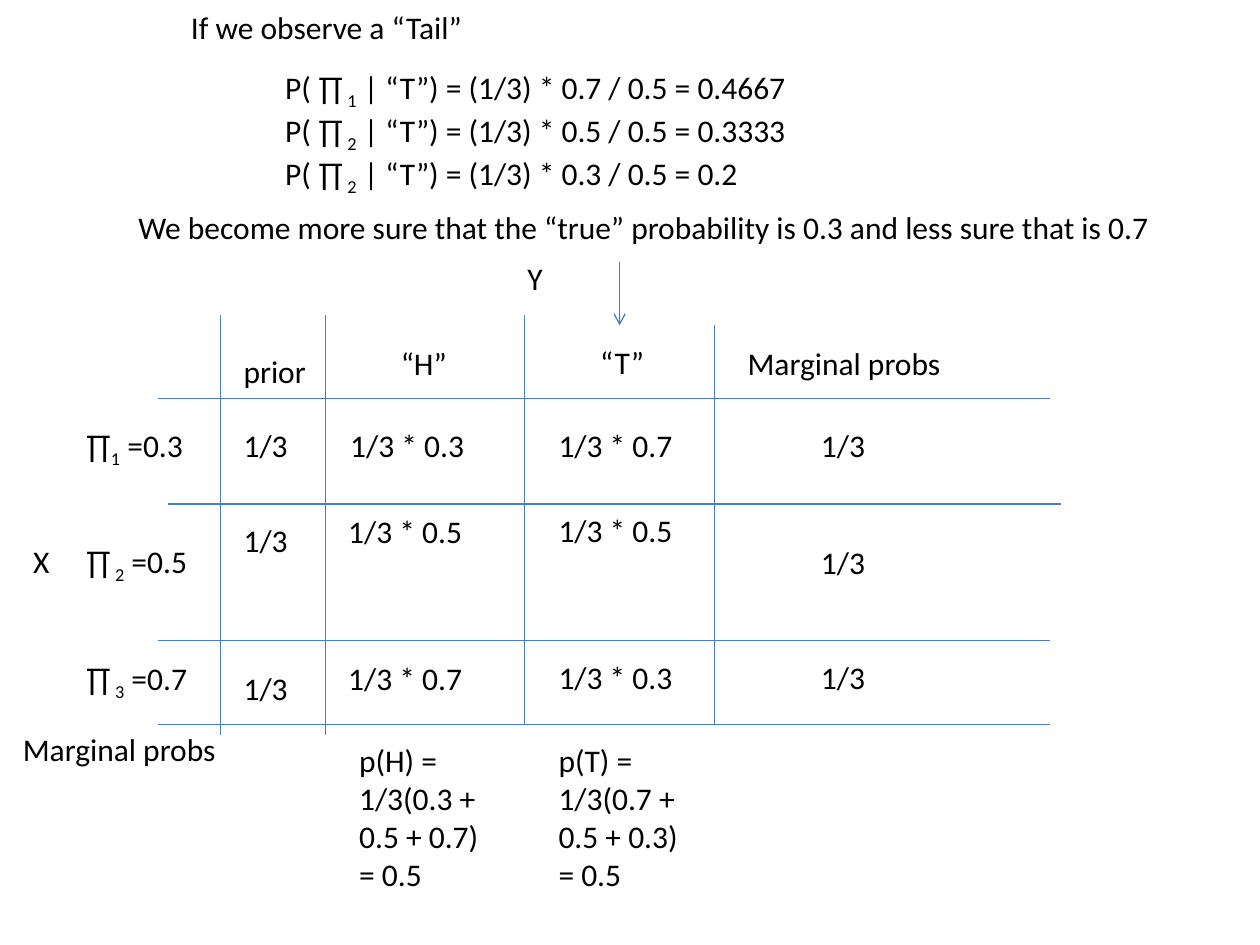
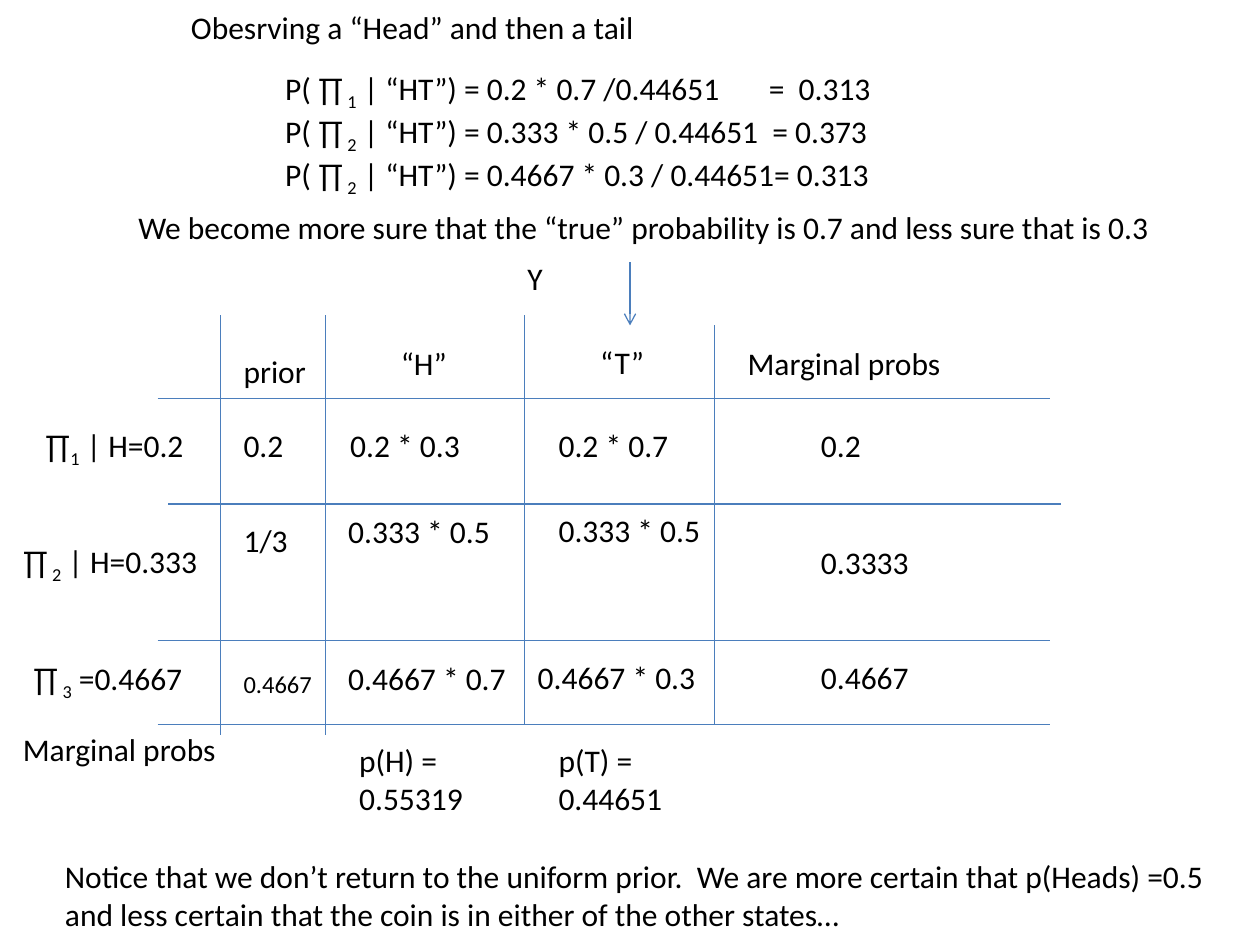
from lxml import etree
from pptx import Presentation
from pptx import util as u
from pptx.dml.color import RGBColor
from pptx.enum import shapes, text
from pptx.oxml.ns import qn

BLACK = RGBColor(0x00, 0x00, 0x00)
BLUE = RGBColor(0x4B, 0x7E, 0xBC)
FONT = "Calibri"
SIZE = 18

# Shared grid in cm: (start x, start y, end x, end y)
ROW_RULES = [(3.18, 8.04, 21.17, 8.04), (3.39, 10.16, 21.38, 10.16),
             (3.18, 12.91, 21.17, 12.91), (3.18, 14.6, 21.17, 14.6)]
COLUMN_RULES = [(4.45, 6.35, 4.45, 14.82), (6.56, 6.35, 6.56, 14.82),
                (10.58, 6.35, 10.58, 14.6), (14.4, 6.56, 14.4, 14.6)]

# Tops of the three cells in each column, in cm
LABEL_TOPS = (8.47, 10.8, 13.16)
PRIOR_TOPS = (8.47, 10.37, 13.36)
HEAD_TOPS = (8.47, 10.19, 13.16)
TAIL_TOPS = (8.47, 10.17, 13.14)
MARGINAL_TOPS = (8.47, 10.82, 13.14)

# Headings that both pages share: wording, left, top, width
HEADINGS = [("prior", 4.66, 6.98, 1.78), ("“H”", 7.83, 6.81, 1.45),
            ("“T”", 11.85, 6.79, 1.45), ("Y", 10.38, 5.1, 0.81),
            ("Marginal probs", 14.82, 6.81, 4.45),
            ("Marginal probs", 0.21, 14.6, 4.45)]
HEAD_CHANCES = ("0.3", "0.5", "0.7")
TAIL_CHANCES = ("0.7", "0.5", "0.3")

# Widths of the non-digit characters in cells, in ems
DIGIT_EM = 0.507
OTHER_EMS = {".": 0.252, "/": 0.386, " ": 0.226, "*": 0.498}

TAIL_PAGE = {
    "title": ("If we observe a “Tail”", 6.05),
    "posteriors": ["P( ∏~ 1~ | “T”) = (1/3) * 0.7 / 0.5 = 0.4667",
                   "P( ∏~ 2~ | “T”) = (1/3) * 0.5 / 0.5 = 0.3333",
                   "P( ∏~ 2~ | “T”) = (1/3) * 0.3 / 0.5 = 0.2"],
    "posterior_place": (1.24, 10.82),
    "surer": ("0.3", "0.7"),
    "labels": [("∏~1~ =0.3", 1.48, 2.51), ("∏~ 2~ =0.5", 1.48, 2.62),
               ("∏~ 3~ =0.7", 1.48, 2.62)],
    "priors": ("1/3",) * 3,
    "weights": ("1/3",) * 3,
    "marginals": ("1/3",) * 3,
    "prior_sizes": (SIZE,) * 3,
    "tail_lefts": (11.01,) * 3,
    "totals": (["p(H) =", "1/3(0.3 +", "0.5 + 0.7)", "= 0.5"],
               ["p(T) =", "1/3(0.7 +", "0.5 + 0.3)", "= 0.5"]),
    "total_width": 3.1,
    "arrow": 12.49,
    "extras": [(["X"], 0.42, 10.8, 0.84)],
}
HEAD_TAIL_PAGE = {
    "title": ("Obesrving a “Head” and then a tail", 9.55),
    "posteriors": ["P( ∏~ 1~ | “HT”) = 0.2 * 0.7 /0.44651\t=  0.313",
                   "P( ∏~ 2~ | “HT”) = 0.333 * 0.5 / 0.44651  = 0.373",
                   "P( ∏~ 2~ | “HT”) = 0.4667 * 0.3 / 0.44651= 0.313"],
    "posterior_place": (1.27, 12.98),
    "surer": ("0.7", "0.3"),
    "labels": [("∏~1~ | H=0.2", 0.66, 3.35), ("∏~ 2~ | H=0.333", 0.21, 4.11),
               ("∏~ 3~ =0.4667", 0.42, 3.61)],
    "priors": ("0.2", "1/3", "0.4667"),
    "weights": ("0.2", "0.333", "0.4667"),
    "marginals": ("0.2", "0.3333", "0.4667"),
    "prior_sizes": (SIZE, SIZE, 14),
    "tail_lefts": (11.01, 11.01, 10.59),
    "totals": (["p(H) =", "0.55319"], ["p(T) =", "0.44651"]),
    "total_width": 2.77,
    "arrow": 12.7,
    "extras": [(["Notice that we don’t return to the uniform prior.  "
                 "We are more certain that p(Heads) =0.5",
                 "and less certain that the coin is in either of the other "
                 "states…"], 1.06, 17.15, 23.75)],
}


def set_values(target, values):
    for name, value in values.items():
        setattr(target, name, value)


def add_tab(para, position):
    """Give a paragraph one left tab stop."""
    stops = etree.SubElement(para._p.get_or_add_pPr(), qn("a:tabLst"))
    etree.SubElement(stops, qn("a:tab"), pos=str(position), algn="l")


def add_text(page, lines, left, top, width, size=SIZE):
    """Add one paragraph per line; parts between tildes are subscripts."""
    height = 0.25 + 0.0428 * size * len(lines)
    box = page.shapes.add_textbox(u.Cm(left), u.Cm(top),
                                  u.Cm(width), u.Cm(height))
    frame = box.text_frame
    set_values(frame, {"word_wrap": False,
                       "auto_size": text.MSO_AUTO_SIZE.SHAPE_TO_FIT_TEXT})
    for number, line in enumerate(lines):
        para = frame.add_paragraph() if number else frame.paragraphs[0]
        if "\t" in line:
            add_tab(para, u.Cm(9.75))
        for part, wording in enumerate(line.split("~")):
            span = para.add_run()
            span.text = wording
            set_values(span.font, {"name": FONT, "size": u.Pt(size)})
            span.font.color.rgb = BLACK
            if part % 2:
                span._r.get_or_add_rPr().set("baseline", "-25000")


def add_line(page, ends, arrow=False):
    line = page.shapes.add_connector(shapes.MSO_CONNECTOR.STRAIGHT,
                                     *[u.Cm(value) for value in ends])
    line.line.color.rgb = BLUE
    line.line.width = u.Pt(0.75)
    if arrow:
        etree.SubElement(line.line._get_or_add_ln(), qn("a:tailEnd"),
                         type="arrow")
    etree.SubElement(line._element.spPr, qn("a:effectLst"))


def cell_width(wording, size):
    """Width in cm of a number or product, with both side margins."""
    ems = sum(OTHER_EMS.get(letter, DIGIT_EM) for letter in wording)
    return 0.51 + ems * size * 2.54 / 72


def add_column(page, cells, lefts, tops, sizes=(SIZE,) * 3):
    for wording, left, top, size in zip(cells, lefts, tops, sizes):
        add_text(page, [wording], left, top, cell_width(wording, size), size)


def products(weights, chances):
    return [f"{weight} * {chance}" for weight, chance in zip(weights, chances)]


def add_grid(page):
    for ends in ROW_RULES + COLUMN_RULES:
        add_line(page, ends)
    for wording, left, top, width in HEADINGS:
        add_text(page, [wording], left, top, width)


def build_page(deck, content):
    page = deck.slides.add_slide(deck.slide_layouts[6])
    add_grid(page)

    # Cells of the joint probability grid
    for (label, left, width), top in zip(content["labels"], LABEL_TOPS):
        add_text(page, [label], left, top, width)
    add_column(page, content["priors"], (4.66,) * 3, PRIOR_TOPS,
               content["prior_sizes"])
    add_column(page, products(content["weights"], HEAD_CHANCES),
               (6.81, 6.77, 6.77), HEAD_TOPS)
    add_column(page, products(content["weights"], TAIL_CHANCES),
               content["tail_lefts"], TAIL_TOPS)
    add_column(page, content["marginals"], (16.3,) * 3, MARGINAL_TOPS)
    for lines, left in zip(content["totals"], (6.99, 11.01)):
        add_text(page, lines, left, 14.82, content["total_width"])

    # Title, posteriors and conclusion above the grid
    title, width = content["title"]
    add_text(page, [title], 3.6, 0.03, width)
    top, width = content["posterior_place"]
    add_text(page, content["posteriors"], 5.5, top, width)
    more, less = content["surer"]
    add_text(page, ["We become more sure that the “true” probability is "
                    f"{more} and less sure that is {less} "], 2.54, 4.06, 21.29)

    # Arrow to the observed column, and remarks
    add_line(page, (content["arrow"], 5.29, content["arrow"], 6.56), arrow=True)
    for extra in content["extras"]:
        add_text(page, *extra)


def main():
    deck = Presentation()
    set_values(deck, {"slide_width": u.Cm(25.4), "slide_height": u.Cm(19.05)})
    for content in (TAIL_PAGE, HEAD_TAIL_PAGE):
        build_page(deck, content)
    deck.save("out.pptx")


main()
